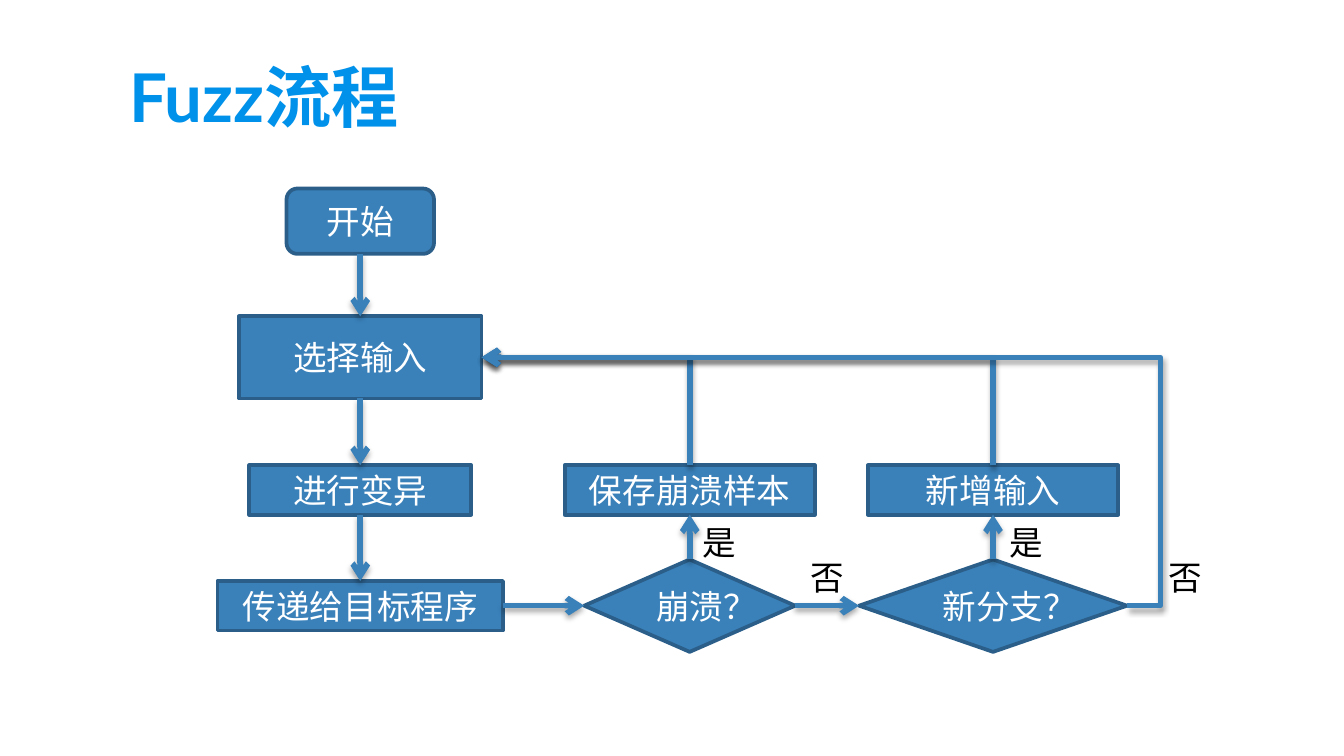
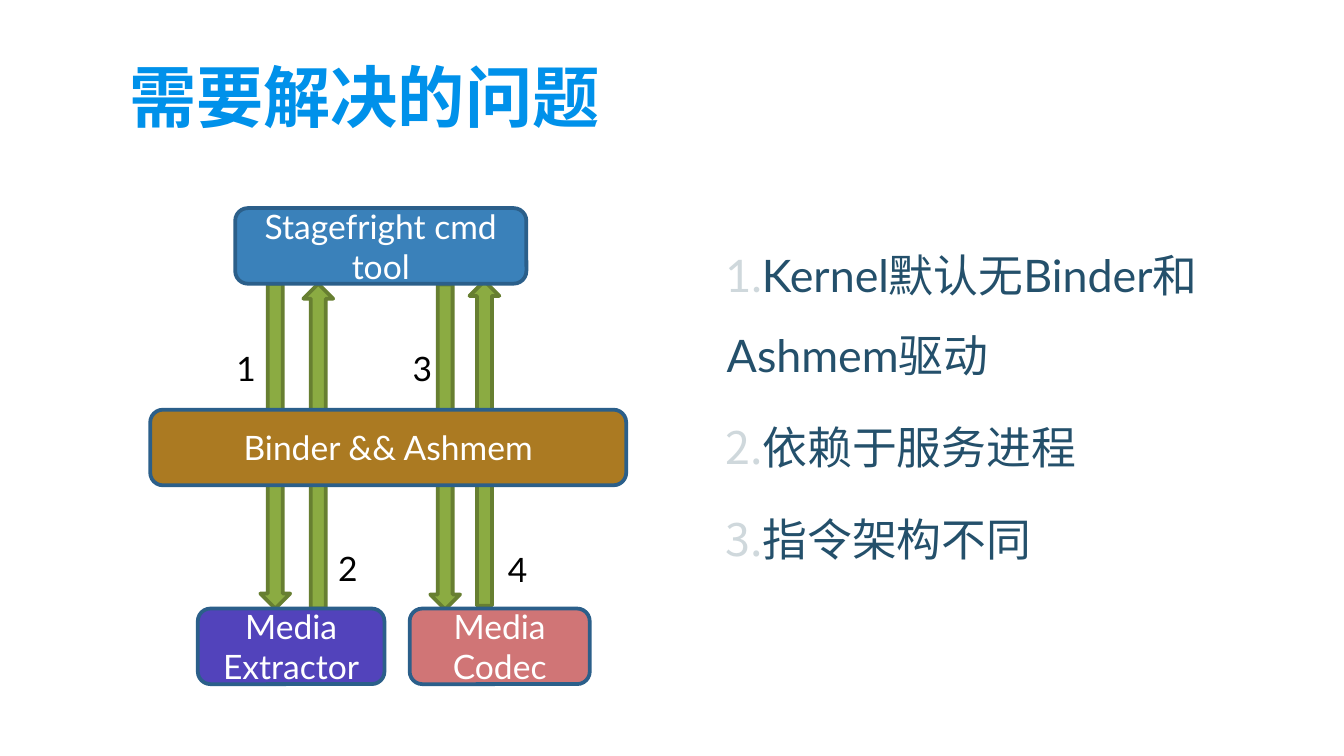
from lxml import etree
from pptx import Presentation
from pptx.dml.color import RGBColor
from pptx.enum import shapes, text
from pptx.oxml import ns
from pptx.util import Pt

LATIN, HAN = "Lato", "Noto Sans CJK SC"
BLUE, EDGE, SKY, WHITE, BLACK = "3A81BA", "2B5F8A", "0091EA", "FFFFFF", "000000"
INK, PALE, GREEN, MOSS = "24506B", "CFD8DC", "8BAB42", "677F31"
KIND = shapes.MSO_SHAPE
RECT, ROUND, RHOMB = KIND.RECTANGLE, KIND.ROUNDED_RECTANGLE, KIND.DIAMOND
TOP, LEFT, BOTTOM, RIGHT = range(4)

COLS = (193, 369.5, 532)
ROWS = (118.5, 191.5, 262.5, 324.5)

STEPS = {
    "start": ("开始", ROUND, 0, 0, 79, 35),
    "pick": ("选择输入", RECT, 0, 1, 130, 44),
    "mutate": ("进行变异", RECT, 0, 2, 119, 26.5),
    "pass": ("传递给目标程序", RECT, 0, 3, 153, 26.5),
    "save": ("保存崩溃样本", RECT, 1, 2, 134, 26.5),
    "crash": ("崩溃？", RHOMB, 1, 3, 113, 49.5),
    "add": ("新增输入", RECT, 2, 2, 134, 26.5),
    "branch": ("新分支？", RHOMB, 2, 3, 143.5, 49.5),
}
LINKS = [
    ("start", BOTTOM, "pick", TOP),
    ("pick", BOTTOM, "mutate", TOP),
    ("mutate", BOTTOM, "pass", TOP),
    ("pass", RIGHT, "crash", LEFT),
    ("crash", TOP, "save", BOTTOM),
    ("crash", RIGHT, "branch", LEFT),
    ("branch", TOP, "add", BOTTOM),
]
CORNERS = ["save", "add"]
ANSWERS = [("是", 369.5, 276), ("否", 427, 295), ("是", 533.5, 276), ("否", 619, 295)]

PARTS = [
    ("Stagefright cmd tool", BLUE, 126, 111.5, 156),
    ("Binder && Ashmem", "AB7A22", 80.5, 219.5, 255),
    ("Media Extractor", "5243BB", 106, 326, 100),
    ("Media Codec", "D07576", 219.5, 326, 96.5),
]
PIPES = [(139.5, 152, 0), (162.5, 152, 180), (230.5, 152.5, 0), (251.5, 150.5, 180)]
MARKS = [("1", 119.5, 183), ("2", 174, 290), ("3", 214, 183), ("4", 265, 290.5)]
ISSUES = ["Kernel默认无Binder和Ashmem驱动", "依赖于服务进程", "指令架构不同"]


def rgb(code):
    return RGBColor.from_string(code)


def node(parent, tag, **attrs):
    item = etree.SubElement(parent, ns.qn("a:" + tag))
    for key, val in attrs.items():
        item.set(key, str(val))
    return item


def style(frame, size, color, align=None, bold=False):
    for para in frame.paragraphs:
        para.alignment = align
        for run in para.runs:
            font = run.font
            font.size, font.bold, font.name = Pt(size), bold, LATIN
            font.color.rgb = rgb(color)
            node(run._r.get_or_add_rPr(), "ea", typeface=HAN)


def pad(frame, size):
    frame.margin_left = frame.margin_right = Pt(size)
    frame.margin_top = frame.margin_bottom = Pt(size)


def start(deck, title):
    slide = deck.slides.add_slide(deck.slide_layouts[5])
    head = slide.shapes.title
    head.left, head.top, head.width, head.height = Pt(62), Pt(24.5), Pt(596), Pt(55.5)
    frame = head.text_frame
    frame.text = title
    frame.vertical_anchor = text.MSO_ANCHOR.BOTTOM
    pad(frame, 7.2)
    style(frame, 36, SKY, text.PP_ALIGN.LEFT, True)
    return slide


def shape(slide, kind, x, y, w, h, fill, edge):
    item = slide.shapes.add_shape(kind, Pt(x), Pt(y), Pt(w), Pt(h))
    item.shadow.inherit = False
    item.fill.solid()
    item.fill.fore_color.rgb = rgb(fill)
    item.line.color.rgb = rgb(edge)
    item.line.width = Pt(2)
    return item


def block(slide, words, kind, x, y, w, h, fill=BLUE):
    item = shape(slide, kind, x, y, w, h, fill, EDGE)
    frame = item.text_frame
    frame.text = words
    frame.word_wrap = True
    frame.vertical_anchor = text.MSO_ANCHOR.MIDDLE
    style(frame, 18, WHITE, text.PP_ALIGN.CENTER)
    return item


def label(slide, words, x, y, w):
    frame = slide.shapes.add_textbox(Pt(x), Pt(y), Pt(w), Pt(29)).text_frame
    frame.text = words
    frame.word_wrap = True
    frame.auto_size = text.MSO_AUTO_SIZE.SHAPE_TO_FIT_TEXT
    style(frame, 18, BLACK)


def link(slide, one, out, two, into, kind=shapes.MSO_CONNECTOR.STRAIGHT):
    wire = slide.shapes.add_connector(kind, 0, 0, 0, 0)
    wire.begin_connect(one, out)
    wire.end_connect(two, into)
    wire.line.color.rgb = rgb(BLUE)
    wire.line.width = Pt(3)
    node(wire.line._get_or_add_ln(), "tailEnd", type="arrow")
    glow = node(node(wire._element.spPr, "effectLst"), "outerShdw",
                blurRad=Pt(3.1), dist=Pt(1.8), dir=5400000, rotWithShape=0)
    node(node(glow, "srgbClr", val=BLACK), "alpha", val=35000)
    return wire


def corner(slide, one, two):
    wire = link(slide, one, TOP, two, RIGHT, shapes.MSO_CONNECTOR.ELBOW)
    wide, high = wire.width, wire.height
    midx, midy = wire.left + wide // 2, wire.top + high // 2
    wire.left, wire.top = midx - high // 2, midy - wide // 2
    wire.width, wire.height = high, wide
    props = wire._element.spPr
    frame = props.find(ns.qn("a:xfrm"))
    frame.attrib.pop("flipH", None)
    frame.set("rot", "16200000")
    frame.set("flipV", "1")
    props.find(ns.qn("a:prstGeom")).set("prst", "bentConnector2")


def loop(slide, one, two):
    wire = link(slide, one, RIGHT, two, RIGHT, shapes.MSO_CONNECTOR.ELBOW)
    geom = wire._element.spPr.find(ns.qn("a:prstGeom"))
    for old in list(geom):
        geom.remove(old)
    node(node(geom, "avLst"), "gd", name="adj1", fmla="val -5200")


def flow(deck):
    slide = start(deck, "Fuzz流程")
    steps = {}
    for key, (words, kind, col, row, w, h) in STEPS.items():
        x, y = COLS[col] - w / 2, ROWS[row] - h / 2
        steps[key] = block(slide, words, kind, x, y, w, h)
    for one, out, two, into in LINKS:
        link(slide, steps[one], out, steps[two], into)
    for key in CORNERS:
        corner(slide, steps[key], steps["pick"])
    loop(slide, steps["branch"], steps["pick"])
    for words, x, y in ANSWERS:
        label(slide, words, x, y, 28)


def issues(slide):
    frame = slide.shapes.add_textbox(Pt(381.5), Pt(111), Pt(319.5), Pt(254)).text_frame
    frame.word_wrap = True
    pad(frame, 7.2)
    frame.text = "\n".join(ISSUES)
    style(frame, 24, INK)
    for para in frame.paragraphs:
        para.line_spacing = 1.5
        para.space_before = Pt(6)
        props = para._p.get_or_add_pPr()
        props.set("marL", str(Pt(0.72)))
        props.set("indent", str(Pt(-36)))
        node(node(props, "buClr"), "srgbClr", val=PALE)
        node(props, "buAutoNum", type="arabicPeriod")
        node(node(props, "tabLst"), "tab", pos=Pt(33), algn="l")


def needs(deck):
    slide = start(deck, "需要解决的问题")
    for x, y, turn in PIPES:
        pipe = shape(slide, KIND.DOWN_ARROW, x, y, 16, 174, GREEN, MOSS)
        pipe.rotation = turn
    for words, fill, x, y, w in PARTS:
        block(slide, words, ROUND, x, y, w, 40.5, fill)
    for words, x, y in MARKS:
        label(slide, words, x, y, 31.5)
    issues(slide)


def main():
    deck = Presentation()
    deck.slide_width, deck.slide_height = Pt(720), Pt(405)
    flow(deck)
    needs(deck)
    deck.save("out.pptx")


if __name__ == "__main__":
    main()
